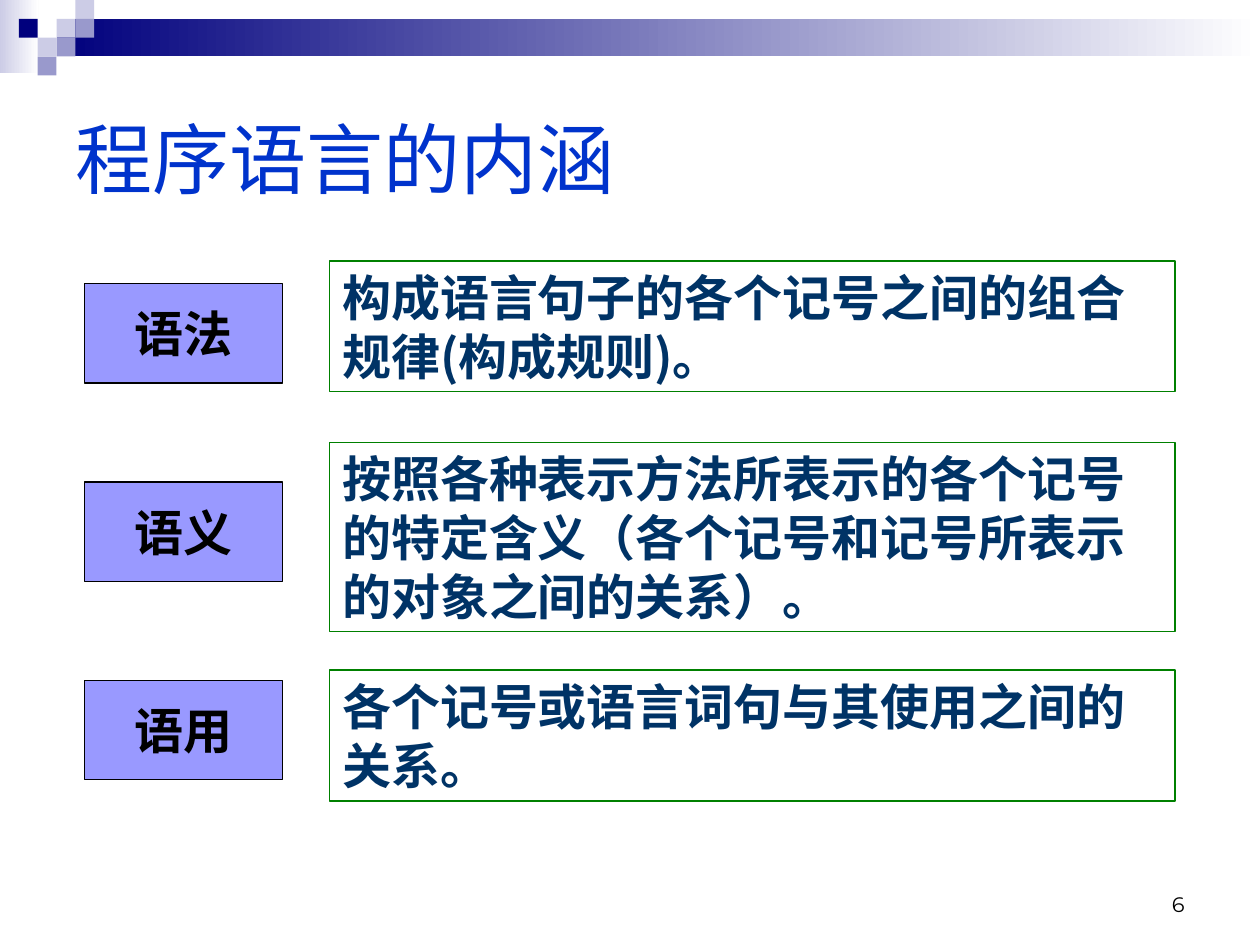
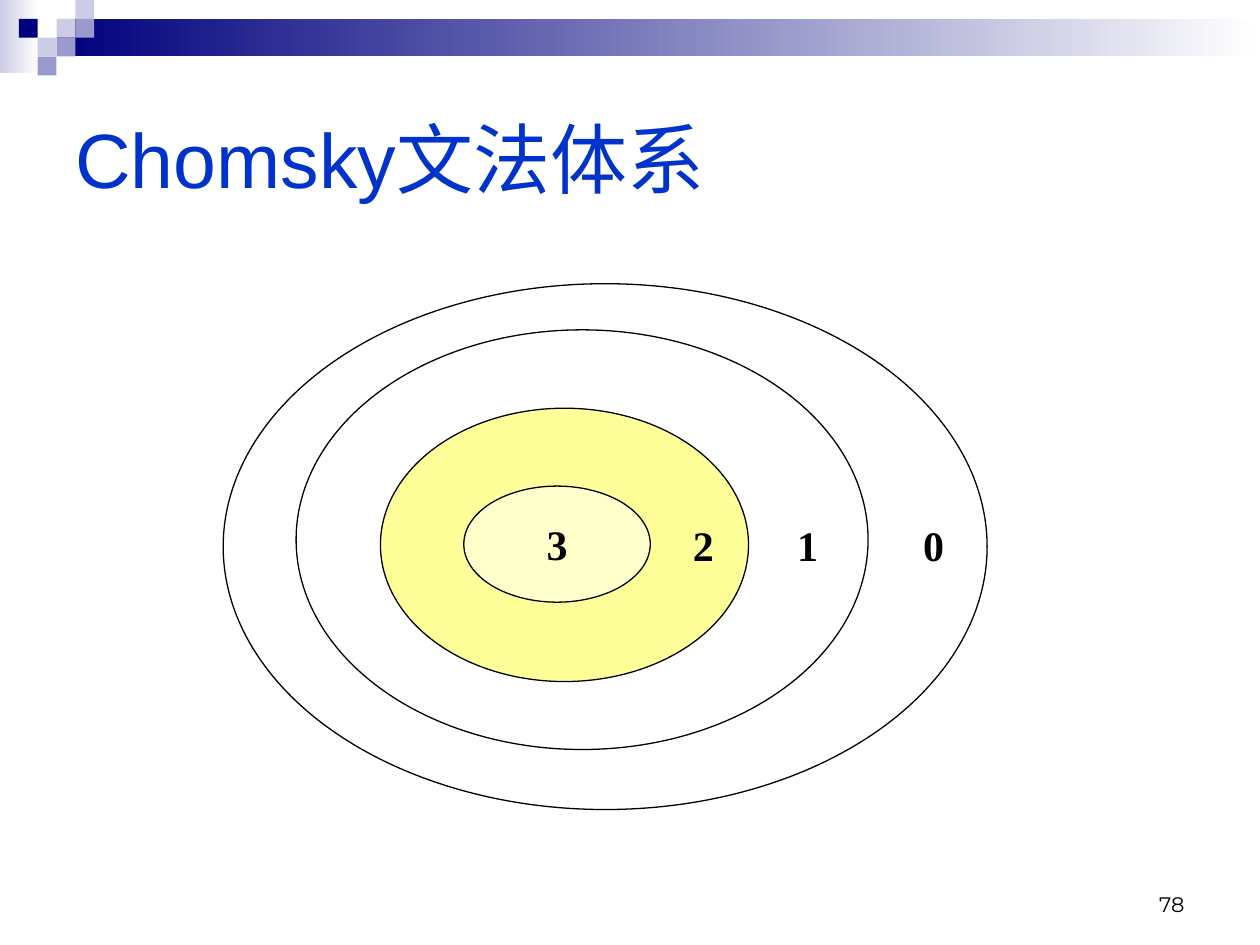
from collections import namedtuple

from lxml.etree import SubElement
from pptx import Presentation
from pptx.dml.color import RGBColor
from pptx.enum.shapes import MSO_SHAPE
from pptx.enum.text import MSO_ANCHOR, PP_ALIGN
from pptx.oxml.ns import qn
from pptx.util import Cm, Pt

NAVY = RGBColor(0x00, 0x00, 0x7D)
MID_LILAC = RGBColor(0x99, 0x99, 0xCC)
PALE_LILAC = RGBColor(0xCC, 0xCC, 0xE6)
TITLE_BLUE = RGBColor(0x00, 0x33, 0xCC)
TERM_FILL = RGBColor(0x99, 0x99, 0xFF)
MEANING_TEXT = RGBColor(0x00, 0x33, 0x66)
GREEN = RGBColor(0x00, 0x80, 0x00)
YELLOW = RGBColor(0xFF, 0xFF, 0x99)
PALE_YELLOW = RGBColor(0xFF, 0xFF, 0xCC)
WHITE = RGBColor(0xFF, 0xFF, 0xFF)
BLACK = RGBColor(0x00, 0x00, 0x00)

HAN_FONT = "Noto Sans CJK SC"
CELL = 0.38  # side of one square of the corner mosaic, in cm

# Lengths in cm
Box = namedtuple("Box", "left top width height")


def inside(box, left, top, width, height):
    """Return a box whose corner is given relative to another box."""
    return Box(box.left + left, box.top + top, width, height)


def write(shape, text, *, size, font="Arial", color=BLACK, bold=False,
          align=PP_ALIGN.LEFT, anchor=MSO_ANCHOR.TOP, wrap=True):
    frame = shape.text_frame
    frame.word_wrap = wrap
    frame.vertical_anchor = anchor
    frame.margin_left = frame.margin_right = Cm(0.25)
    frame.margin_top = frame.margin_bottom = Cm(0.13)
    paragraph = frame.paragraphs[0]
    paragraph.alignment = align
    run = paragraph.add_run()
    run.text = text
    run.font.name = font
    run.font.size = Pt(size)
    run.font.bold = bold
    run.font.color.rgb = color
    SubElement(run.font._element, qn("a:ea")).set("typeface", HAN_FONT)


def add_text(slide, box, text, **text_format):
    write(slide.shapes.add_textbox(*map(Cm, box)), text, **text_format)


def add_figure(slide, kind, box, fill=None, line=None):
    """Add a preset shape; a pair of fill colours makes a gradient to the right."""
    figure = slide.shapes.add_shape(kind, *map(Cm, box))
    figure.shadow.inherit = False
    if fill is None:
        figure.fill.background()
    elif isinstance(fill, RGBColor):
        figure.fill.solid()
        figure.fill.fore_color.rgb = fill
    else:
        figure.fill.gradient()
        figure.fill.gradient_angle = 0
        for stop, color, position in zip(figure.fill.gradient_stops, fill, (0, 1)):
            stop.color.rgb = color
            stop.position = position
    if line is None:
        figure.line.fill.background()
    else:
        figure.line.color.rgb = line
        figure.line.width = Pt(0.75)
    return figure


def draw_header(slide, box):
    strip = inside(box, 0, 0, 0.78, 1.47)
    band = inside(box, 3 * CELL, CELL, box.width - 3 * CELL, 2 * CELL)
    add_figure(slide, MSO_SHAPE.RECTANGLE, strip, (PALE_LILAC, WHITE))
    add_figure(slide, MSO_SHAPE.RECTANGLE, band, (NAVY, WHITE))
    mosaic = [(3, 1, PALE_LILAC), (4, 0, PALE_LILAC), (4, 1, MID_LILAC),
              (2, 2, PALE_LILAC), (1, 1, NAVY), (3, 2, MID_LILAC), (2, 3, MID_LILAC)]
    for column, row, color in mosaic:
        square = inside(box, column * CELL, row * CELL, CELL, CELL)
        add_figure(slide, MSO_SHAPE.RECTANGLE, square, color)


def add_titled_slide(deck, title, number):
    slide = deck.slides.add_slide(deck.slide_layouts[6])
    draw_header(slide, Box(0, 0, 25.4, 1.9))
    add_text(slide, Box(1.27, 1.27, 22.86, 3.81), title, size=44,
             color=TITLE_BLUE, anchor=MSO_ANCHOR.MIDDLE)
    add_text(slide, Box(18.2, 17.35, 5.93, 1.27), str(number), size=12,
             font="Montserrat", align=PP_ALIGN.RIGHT, anchor=MSO_ANCHOR.BOTTOM)
    return slide


def draw_definitions(slide, box):
    """Place terms at an equal pitch on the left, their meanings on the right."""
    term_top, term_pitch, meaning_left = 0.46, 4, 4.95
    definitions = [
        ("语法", 0, 2.64, "构成语言句子的各个记号之间的组合规律(构成规则)。"),
        ("语义", 3.66, 3.81,
         "按照各种表示方法所表示的各个记号的特定含义（各个记号和记号所表示的对象之间的关系）。"),
        ("语用", 8.25, 2.64, "各个记号或语言词句与其使用之间的关系。"),
    ]
    for index, (term, meaning_top, meaning_height, meaning) in enumerate(definitions):
        term_box = inside(box, 0, term_top + index * term_pitch, 4, 2)
        term_card = add_figure(slide, MSO_SHAPE.RECTANGLE, term_box, TERM_FILL, BLACK)
        write(term_card, term, size=28, bold=True, align=PP_ALIGN.CENTER,
              anchor=MSO_ANCHOR.MIDDLE, wrap=False)
        meaning_box = inside(box, meaning_left, meaning_top,
                             box.width - meaning_left, meaning_height)
        meaning_card = add_figure(slide, MSO_SHAPE.RECTANGLE, meaning_box, line=GREEN)
        write(meaning_card, meaning, size=28, font=HAN_FONT, color=MEANING_TEXT, bold=True)


def draw_grammar_classes(slide, box):
    """Nest one ellipse per grammar type, then number the types."""
    number_format = dict(size=24, font="Times New Roman", bold=True, wrap=False)
    classes = [
        (0, 0, box.width, box.height, WHITE),
        (1.47, 0.93, 11.53, 8.46, WHITE),
        (3.17, 2.51, 7.42, 5.51, YELLOW),
        (4.85, 4.08, 3.76, 2.34, PALE_YELLOW),
    ]
    for *place, fill in classes:
        ellipse = add_figure(slide, MSO_SHAPE.OVAL, inside(box, *place), fill, BLACK)
    write(ellipse, "3", align=PP_ALIGN.CENTER, anchor=MSO_ANCHOR.MIDDLE, **number_format)
    for number, left in enumerate((13.86, 11.32, 9.22)):
        add_text(slide, inside(box, left, 4.62, 0.91, 1.27), str(number), **number_format)


def main():
    deck = Presentation()
    deck.slide_width, deck.slide_height = Cm(25.4), Cm(19.05)
    draw_definitions(add_titled_slide(deck, "程序语言的内涵", 6),
                     Box(1.7, 5.26, 21.99, 10.89))
    draw_grammar_classes(add_titled_slide(deck, "Chomsky文法体系", 78),
                         Box(4.5, 5.72, 15.4, 10.6))
    deck.save("out.pptx")


if __name__ == "__main__":
    main()
